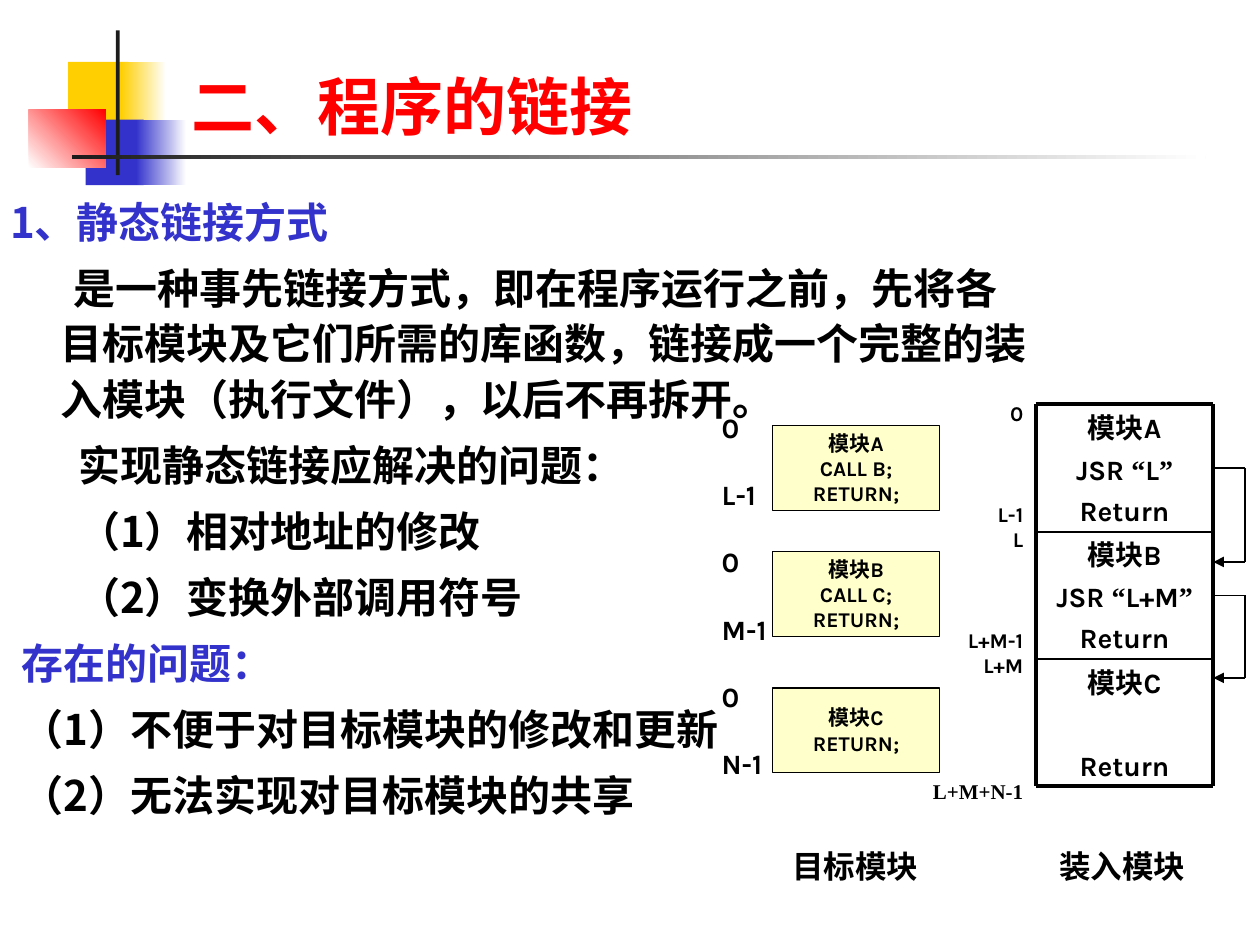
from itertools import pairwise

from lxml import etree
from pptx import Presentation
from pptx.dml.color import RGBColor
from pptx.enum import shapes, text
from pptx.oxml import ns
from pptx.util import Inches, Pt

COLORS = {"black": "000000", "ink": "1C1C1C", "white": "FFFFFF", "red": "FF0000",
          "blue": "3333CC", "gold": "FFCF01", "cream": "FFFFCC"}
LATIN, CHINESE, QUOTES = "Karla", "Noto Sans CJK SC", "Times New Roman"
LINE_HEIGHT = 1.2
ALIGN = text.PP_ALIGN


def rgb(name):
    return RGBColor.from_string(COLORS[name])


def style(para, size, color="black", font=LATIN):
    para.font.size = Pt(size)
    para.font.bold = True
    para.font.color.rgb = rgb(color)
    para.font.name = font
    etree.SubElement(para._p.pPr.defRPr, ns.qn("a:ea"), typeface=CHINESE)


def fill_text(frame, lines, size, align=ALIGN.LEFT, gap=0):
    """Write lines in a frame; each None leaves one line of space above the next."""
    pitch, skipped, first = size * LINE_HEIGHT, 0, True
    for line in lines:
        if line is None:
            skipped += 1
            continue
        para = frame.paragraphs[0] if first else frame.add_paragraph()
        para.alignment = align
        para.line_spacing = Pt(pitch)
        if not first:
            para.space_before = Pt(gap + skipped * (pitch + gap))
        for piece in line if isinstance(line, list) else [line]:
            span = para.add_run()
            span.text = piece
            if piece in "“”":
                span.font.name = QUOTES
        style(para, size)
        skipped, first = 0, False


def add_text(page, left, top, width, height, lines, size, **options):
    box = page.shapes.add_textbox(*map(Inches, (left, top, width, height)))
    box.text_frame.word_wrap = True
    fill_text(box.text_frame, lines, size, **options)
    return box


def add_rect(page, left, top, width, height, *colors, angle=0):
    """Rectangle with one solid colour or a gradient of two."""
    rect = page.shapes.add_shape(shapes.MSO_SHAPE.RECTANGLE,
                                 *map(Inches, (left, top, width, height)))
    rect.shadow.inherit = False
    rect.line.fill.background()
    if len(colors) == 1:
        rect.fill.solid()
        rect.fill.fore_color.rgb = rgb(colors[0])
    else:
        rect.fill.gradient()
        rect.fill.gradient_angle = angle
        for stop, color in zip(rect.fill.gradient_stops, colors):
            stop.color.rgb = rgb(color)
    return rect


def add_line(page, start, end, weight, arrow=False):
    line = page.shapes.add_connector(shapes.MSO_CONNECTOR.STRAIGHT,
                                     *map(Inches, (*start, *end)))
    line.line.width = Pt(weight)
    line.line.color.rgb = rgb("black")
    if arrow:
        etree.SubElement(line.line._get_or_add_ln(), ns.qn("a:tailEnd"), type="triangle")
    etree.SubElement(line._element.spPr, ns.qn("a:effectLst"))
    return line


def add_ornament(page, left, top):
    add_rect(page, left + 0.31, top + 0.25, 0.48, 0.52, "gold")
    add_rect(page, left + 0.73, top + 0.25, 0.36, 0.52, "gold", "white")
    add_rect(page, left + 0.45, top + 0.71, 0.46, 0.52, "blue")
    add_rect(page, left + 0.85, top + 0.71, 0.4, 0.52, "blue", "white")
    add_rect(page, left, top + 0.63, 0.61, 0.46, "white", "red", angle=45)
    add_rect(page, left + 0.69, top, 0.03, 1.15, "ink")
    add_rect(page, left + 0.34, top + 0.99, 9, 0.03, "ink", "white")


def add_title(page, left, top, width, height):
    title = page.shapes.title
    title.left, title.top, title.width, title.height = map(Inches, (left, top, width, height))
    title.text_frame.vertical_anchor = text.MSO_ANCHOR.BOTTOM
    para = title.text_frame.paragraphs[0]
    para.text = "二、程序的链接"
    para.alignment = ALIGN.LEFT
    style(para, 36, "red")


def add_body(page, left, top, width, height):
    # Text, colour, left margin and first-line indent in inches
    lines = [
        ("1、静态链接方式", "blue", 0.08, 0),
        ("是一种事先链接方式，即在程序运行之前，先将各目标模块及它们所需的库函数，"
         "链接成一个完整的装入模块（执行文件），以后不再拆开。", "black", 0.48, 0.1),
        ("实现静态链接应解决的问题：", "black", 0.62, 0),
        ("（1）相对地址的修改", "black", 0.62, 0),
        ("（2）变换外部调用符号", "black", 0.62, 0),
        ("存在的问题：", "blue", 0.17, 0),
        ("（1）不便于对目标模块的修改和更新", "black", 0.17, 0),
        ("（2）无法实现对目标模块的共享", "black", 0.17, 0),
    ]
    box = page.shapes.add_textbox(*map(Inches, (left, top, width, height)))
    frame = box.text_frame
    frame.word_wrap = True
    frame.margin_left = 0
    for index, (words, color, margin, indent) in enumerate(lines):
        para = frame.add_paragraph() if index else frame.paragraphs[0]
        para.text = words
        para.line_spacing = Pt(24 * LINE_HEIGHT * 1.1)
        if index:
            para.space_before = Pt(6)
        props = para._p.get_or_add_pPr()
        props.set("marL", str(Inches(margin)))
        props.set("indent", str(Inches(indent)))
        style(para, 24, color, CHINESE)


def add_object_modules(page, left, top):
    modules = [(0.17, ["模块A", "CALL B;", "RETURN;"]),
               (1.17, ["模块B", "CALL C;", "RETURN;"]),
               (2.25, ["模块C", "RETURN;"])]
    for offset, lines in modules:
        rect = add_rect(page, left + 0.5, top + offset, 1.33, 0.67, "cream")
        rect.line.color.rgb = rgb("black")
        rect.line.width = Pt(0.75)
        rect.text_frame.word_wrap = False
        rect.text_frame.vertical_anchor = text.MSO_ANCHOR.MIDDLE
        fill_text(rect.text_frame, lines, 12, ALIGN.CENTER)
    addresses = ["0", None, "L-1", None, "0", None, "M-1", None, "0", None, "N-1"]
    add_text(page, left, top, 0.67, 3.03, addresses, 16)
    add_text(page, left + 0.56, top + 3.46, 1.33, 0.4, ["目标模块"], 18)


def add_load_module(page, left, top):
    width, part = 1.41, 1.01
    right, bottom = left + width, top + 3 * part
    addresses = ["0", *[None] * 3, "L-1", "L", *[None] * 3, "L+M-1", "L+M",
                 *[None] * 4, "L+M+N-1"]
    labels = add_text(page, left - 1, top - 0.08, 1, 3.3, addresses, 12, align=ALIGN.RIGHT)
    labels.text_frame.paragraphs[-1].font.name = QUOTES

    contents = [["模块A", ["JSR ", "“", "L", "”"], "Return"],
                ["模块B", ["JSR ", "“", "L+M", "”"], "Return"],
                ["模块C", None, "Return"]]
    parts = [add_text(page, left, top + row * part, width, part, lines, 16,
                      align=ALIGN.CENTER, gap=4.5)
             for row, lines in enumerate(contents)]

    for row, weight in enumerate((2.25, 1, 1, 2.25)):
        y = top + row * part
        add_line(page, (left, y), (right, y), weight)
    for x in (left, right):
        add_line(page, (x, top), (x, bottom), 2.25)

    for row, target in enumerate((1.25, 2.17)):
        start, end = top + (row + 0.5) * part, top + target
        corners = [(right, start), (right + 0.25, start), (right + 0.25, end), (right, end)]
        lines = [add_line(page, a, b, 0.75, arrow=b == corners[-1])
                 for a, b in pairwise(corners)]
        lines[0].begin_connect(parts[row], 3)
    add_text(page, left + 0.09, top + 3.46, 1.33, 0.4, ["装入模块"], 18)


def main():
    deck = Presentation()
    deck.slide_width, deck.slide_height = Inches(10), Inches(7.5)
    page = deck.slides.add_slide(deck.slide_layouts[5])
    add_ornament(page, 0.23, 0.24)
    add_title(page, 1.42, 0.36, 6.5, 0.83)
    add_body(page, 0, 1.47, 8.32, 5.67)
    add_object_modules(page, 5.63, 3.21)
    add_load_module(page, 8.22, 3.21)
    deck.save("out.pptx")


if __name__ == "__main__":
    main()
